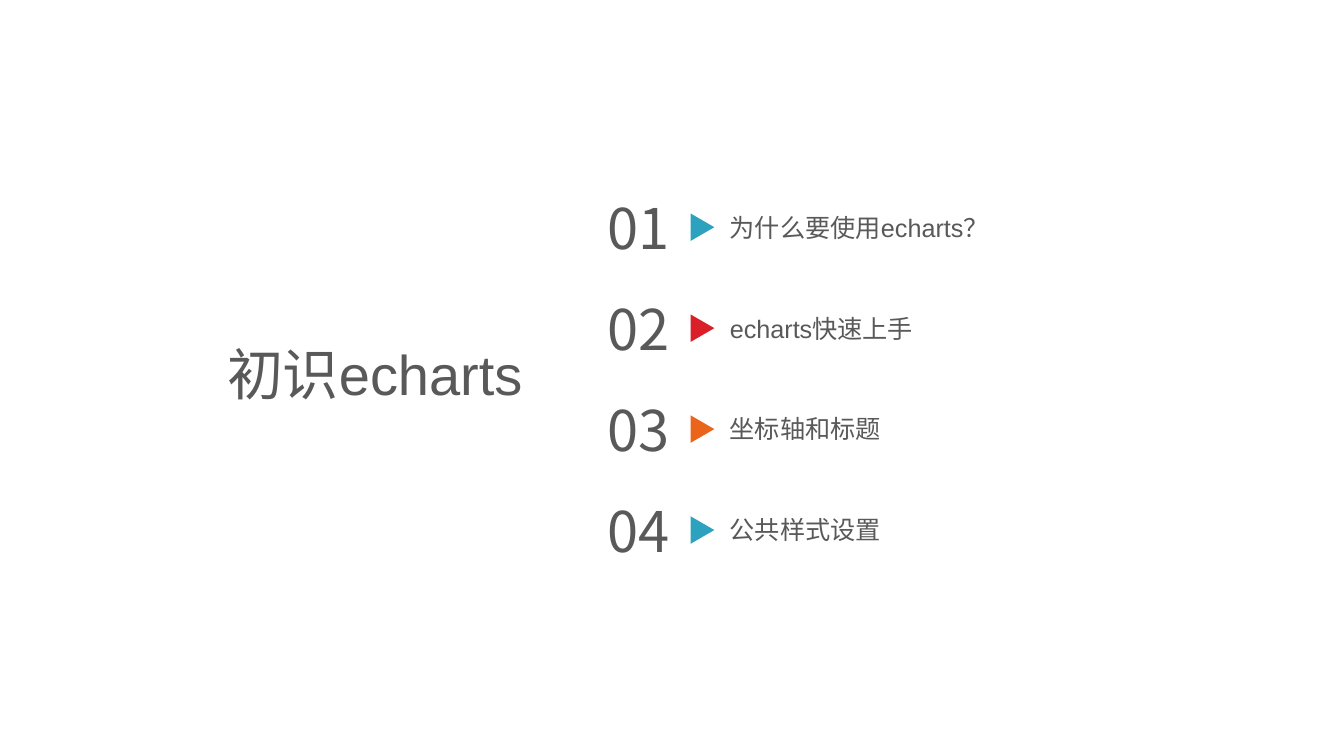
import pptx
import pptx.util
import pptx.dml.color
import pptx.enum.shapes
import pptx.enum.text

Pt = pptx.util.Pt
RGBColor = pptx.dml.color.RGBColor

GREY = RGBColor(0x59, 0x59, 0x59)
BLUE = RGBColor(0x2D, 0xA2, 0xBF)
RED = RGBColor(0xDA, 0x1F, 0x28)
ORANGE = RGBColor(0xEB, 0x64, 0x1B)

TOPICS = [
    ("为什么要使用echarts？", BLUE),
    ("echarts快速上手", RED),
    ("坐标轴和标题", ORANGE),
    ("公共样式设置", BLUE),
]
ROW_PITCH = 72.1


def add_text(shapes, left, top, width, height, text, size, font="Arial",
             align=pptx.enum.text.PP_ALIGN.LEFT):
    box = shapes.add_textbox(Pt(left), Pt(top), Pt(width), Pt(height))
    frame = box.text_frame
    frame.word_wrap = True
    frame.auto_size = pptx.enum.text.MSO_AUTO_SIZE.SHAPE_TO_FIT_TEXT
    para = frame.paragraphs[0]
    para.text = text
    para.alignment = align
    para.font.name = font
    para.font.size = Pt(size)
    para.font.color.rgb = GREY


def add_topic(page, left, top, number, topic, color):
    """One agenda row: marker, number and topic."""
    row = page.shapes.add_group_shape().shapes

    # Triangle turned to point at the topic
    marker = row.add_shape(pptx.enum.shapes.MSO_SHAPE.ISOSCELES_TRIANGLE,
                           Pt(left + 64.9), Pt(top + 19.2), Pt(19.7), Pt(17))
    marker.rotation = 90
    marker.shadow.inherit = False
    marker.fill.solid()
    marker.fill.fore_color.rgb = color
    marker.line.fill.background()

    add_text(row, left, top, 64.9, 55.7, f"{number:02d}", 40, "Noto Sans CJK SC")
    add_text(row, left + 87.2, top + 13.2, 324.9, 29.1, topic, 18)


def add_agenda(page, left, top):
    for index, (topic, color) in enumerate(TOPICS):
        add_topic(page, left, top + index * ROW_PITCH, index + 1, topic, color)


def main():
    deck = pptx.Presentation()
    deck.slide_width, deck.slide_height = Pt(960), Pt(540)
    page = deck.slides.add_slide(deck.slide_layouts[6])

    # Chapter title
    add_text(page.shapes, 78.5, 239, 301.7, 55.7, "初识echarts", 40,
             align=pptx.enum.text.PP_ALIGN.RIGHT)

    # Numbered topics
    add_agenda(page, 427, 134.6)

    deck.save("out.pptx")


if __name__ == "__main__":
    main()
